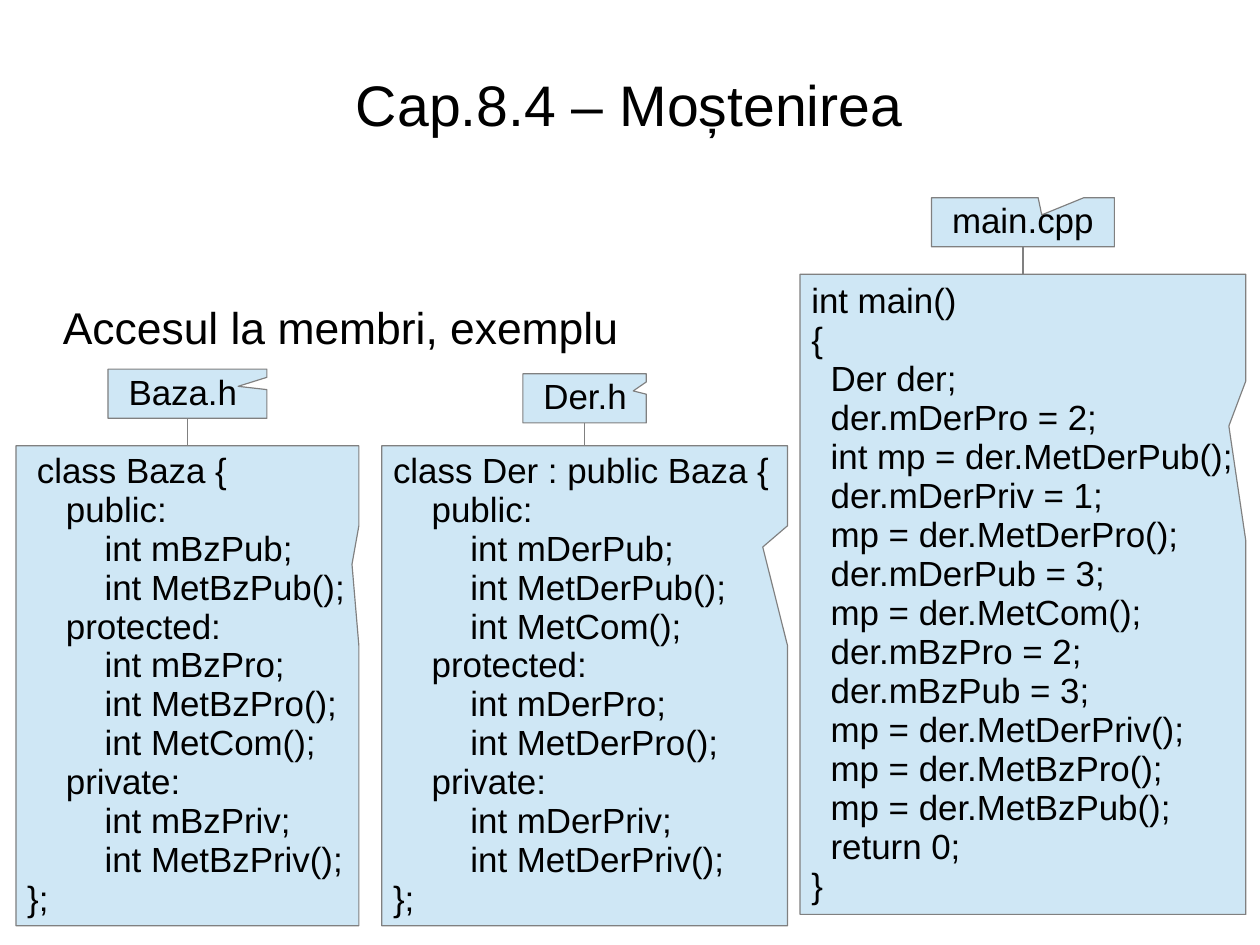
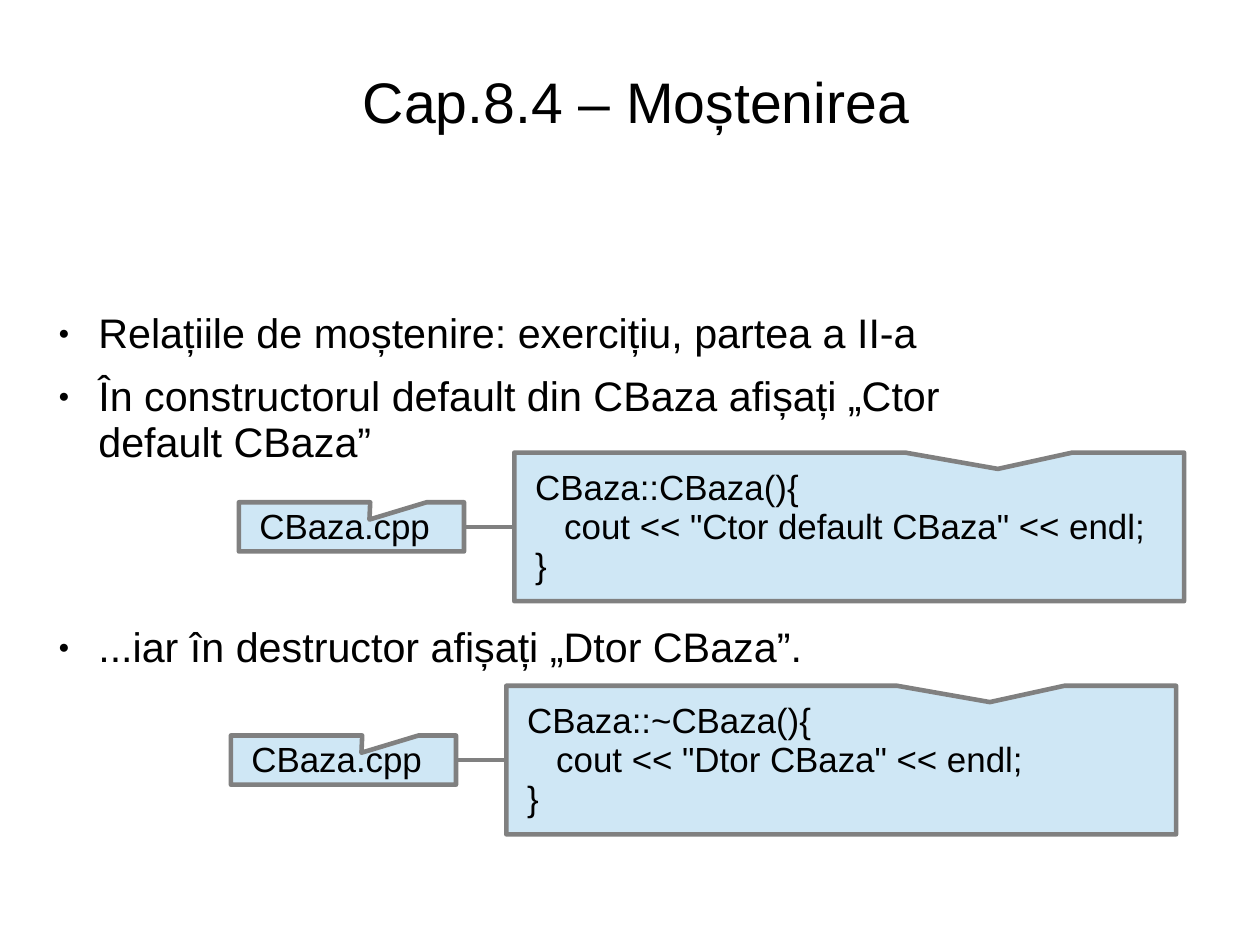
from lxml import etree
from pptx import Presentation
from pptx.dml.color import RGBColor
from pptx.enum.shapes import MSO_CONNECTOR as CONNECTOR, MSO_SHAPE as SHAPE
from pptx.enum.text import MSO_ANCHOR as ANCHOR, PP_ALIGN as ALIGN
from pptx.oxml.ns import qn
from pptx.util import Inches, Pt

BLACK = RGBColor(0x00, 0x00, 0x00)
LIGHT_BLUE = RGBColor(0xCF, 0xE7, 0xF5)
GRAY = RGBColor(0x80, 0x80, 0x80)
FONT = "Arial"
TITLE = "Cap.8.4 – Moștenirea"
CM_PER_INCH = 2.54
LABEL_HEIGHT = 0.43
LABEL_MARGIN = 0.18
CODE_MARGIN = 0.1

BASE_CODE = """ class Baza {
    public:
        int mBzPub;
        int MetBzPub();
    protected:
        int mBzPro;
        int MetBzPro();
        int MetCom();
    private:
        int mBzPriv;
        int MetBzPriv();
};"""
DERIVED_CODE = """class Der : public Baza {
    public:
        int mDerPub;
        int MetDerPub();
        int MetCom();
    protected:
        int mDerPro;
        int MetDerPro();
    private:
        int mDerPriv;
        int MetDerPriv();
};"""
MAIN_CODE = """int main()
{
  Der der;
  der.mDerPro = 2;
  int mp = der.MetDerPub();
  der.mDerPriv = 1;
  mp = der.MetDerPro();
  der.mDerPub = 3;
  mp = der.MetCom();
  der.mBzPro = 2;
  der.mBzPub = 3;
  mp = der.MetDerPriv();
  mp = der.MetBzPro();
  mp = der.MetBzPub();
  return 0;
}"""
CONSTRUCTOR_CODE = """ CBaza::CBaza(){
    cout << "Ctor default CBaza" << endl;
 }"""
DESTRUCTOR_CODE = """ CBaza::~CBaza(){
    cout << "Dtor CBaza" << endl;
 }"""


def fill_text(shape, text, size, margins, spacing=0.93, bulleted=False):
    frame = shape.text_frame
    frame.margin_left, frame.margin_top, frame.margin_right, frame.margin_bottom = map(Inches, margins)
    frame.text = text
    for paragraph in frame.paragraphs:
        paragraph.alignment = ALIGN.LEFT
        paragraph.line_spacing = spacing
        if bulleted:
            paragraph.space_after = Pt(14.1)
            properties = paragraph._p.get_or_add_pPr()
            properties.set("marL", str(Inches(0.47)))
            properties.set("indent", str(Inches(-0.35)))
            color = etree.SubElement(properties, qn("a:buClr"))
            etree.SubElement(color, qn("a:srgbClr"), val=str(BLACK))
            etree.SubElement(properties, qn("a:buSzPct"), val="45000")
            etree.SubElement(properties, qn("a:buFont"), typeface=FONT)
            etree.SubElement(properties, qn("a:buChar"), char="●")
        for run in paragraph.runs:
            run.font.name = FONT
            run.font.size = Pt(size)
            run.font.color.rgb = BLACK
    return frame


def add_callout(slide, box, tip, text, margin_left, margin_top, line_width):
    shape = slide.shapes.add_shape(SHAPE.RECTANGULAR_CALLOUT, *map(Inches, box))
    shape.shadow.inherit = False
    shape.adjustments[0], shape.adjustments[1] = tip
    shape.fill.solid()
    shape.fill.fore_color.rgb = LIGHT_BLUE
    shape.line.color.rgb = GRAY
    shape.line.width = Pt(line_width)
    frame = fill_text(shape, text, 22, (margin_left, margin_top, 0.1, 0.05))
    frame.word_wrap = False
    frame.vertical_anchor = ANCHOR.MIDDLE
    return shape


presentation = Presentation()
presentation.slide_width = Inches(28 / CM_PER_INCH)
presentation.slide_height = Inches(21 / CM_PER_INCH)
blank_layout = presentation.slide_layouts[6]

class_files = [
    ("Baza.h", 1.39, 3.23, (0.319, -0.15), BASE_CODE, (0.14, 3.9, 3, 4.2), (0.48, -0.253)),
    ("Der.h", 1.08, 3.27, (0.394, -0.15), DERIVED_CODE, (3.34, 3.9, 3.55, 4.2), (0.439, -0.289)),
    ("main.cpp", 1.6, 1.73, (0.103, -0.15), MAIN_CODE, (7, 2.4, 3.9, 5.6), (0.462, -0.263)),
]
method_files = [
    ("CBaza.cpp", CONSTRUCTOR_CODE, 4.5, 3.96),
    ("CBaza.cpp", DESTRUCTOR_CODE, 4.43, 6),
]

slide_specs = [
    ((0.39, 0.41, 10.23, 1.05), 0, 0.75, 0.05, (2, 0), [
        ((0.55, 2.64, 6.15, 0.5), "Accesul la membri, exemplu", 28, 0.05, 0.87, False),
    ], [
        (label, (left + (width - label_width) / 2, label_top, label_width, LABEL_HEIGHT), label_tip,
         code, (left, top, width, height), code_tip)
        for label, label_width, label_top, label_tip, code, (left, top, width, height), code_tip in class_files
    ]),
    ((0.36, 0.28, 10.41, 1.24), 0.03, 2.89, 0.07, (3, 1), [
        ((0.39, 2.7, 10.31, 0.5), "Relațiile de moștenire: exercițiu, partea a II-a", 26, 0.03, 0.93, True),
        ((0.39, 3.25, 9.01, 3.43),
         "În constructorul default din CBaza afișați „Ctor default CBaza”\n"
         "...iar în destructor afișați „Dtor CBaza”.", 26, 0.03, 0.93, True),
    ], [
        (label, (left - 2.41, top + (1.3 - LABEL_HEIGHT) / 2, 1.97, LABEL_HEIGHT), (0.08, -0.149),
         code, (left, top, 5.86, 1.3), (0.222, -0.39))
        for label, code, left, top in method_files
    ]),
]

for title_box, title_margin, line_width, margin_top, sites, texts, files in slide_specs:
    slide = presentation.slides.add_slide(blank_layout)
    title = slide.shapes.add_textbox(*map(Inches, title_box))
    frame = fill_text(title, TITLE, 36, (0, title_margin, 0, 0))
    frame.word_wrap = True
    frame.vertical_anchor = ANCHOR.MIDDLE
    frame.paragraphs[0].alignment = ALIGN.CENTER

    for box, text, size, text_margin, spacing, bulleted in texts:
        body = slide.shapes.add_textbox(*map(Inches, box))
        frame = fill_text(body, text, size, (0, text_margin, 0, 0), spacing, bulleted)
        frame.word_wrap = True
        for paragraph in frame.paragraphs[1:]:
            paragraph.space_before = Pt(86)

    for label, label_box, label_tip, code, code_box, code_tip in files:
        label_shape = add_callout(slide, label_box, label_tip, label, LABEL_MARGIN, margin_top, line_width)
        code_shape = add_callout(slide, code_box, code_tip, code, CODE_MARGIN, margin_top, line_width)
        connector = slide.shapes.add_connector(CONNECTOR.STRAIGHT, 0, 0, 0, 0)
        connector.begin_connect(label_shape, sites[0])
        connector.end_connect(code_shape, sites[1])
        connector.line.color.rgb = GRAY
        connector.line.width = Pt(line_width)
        etree.SubElement(connector._element.spPr, qn("a:effectLst"))

presentation.save("out.pptx")
